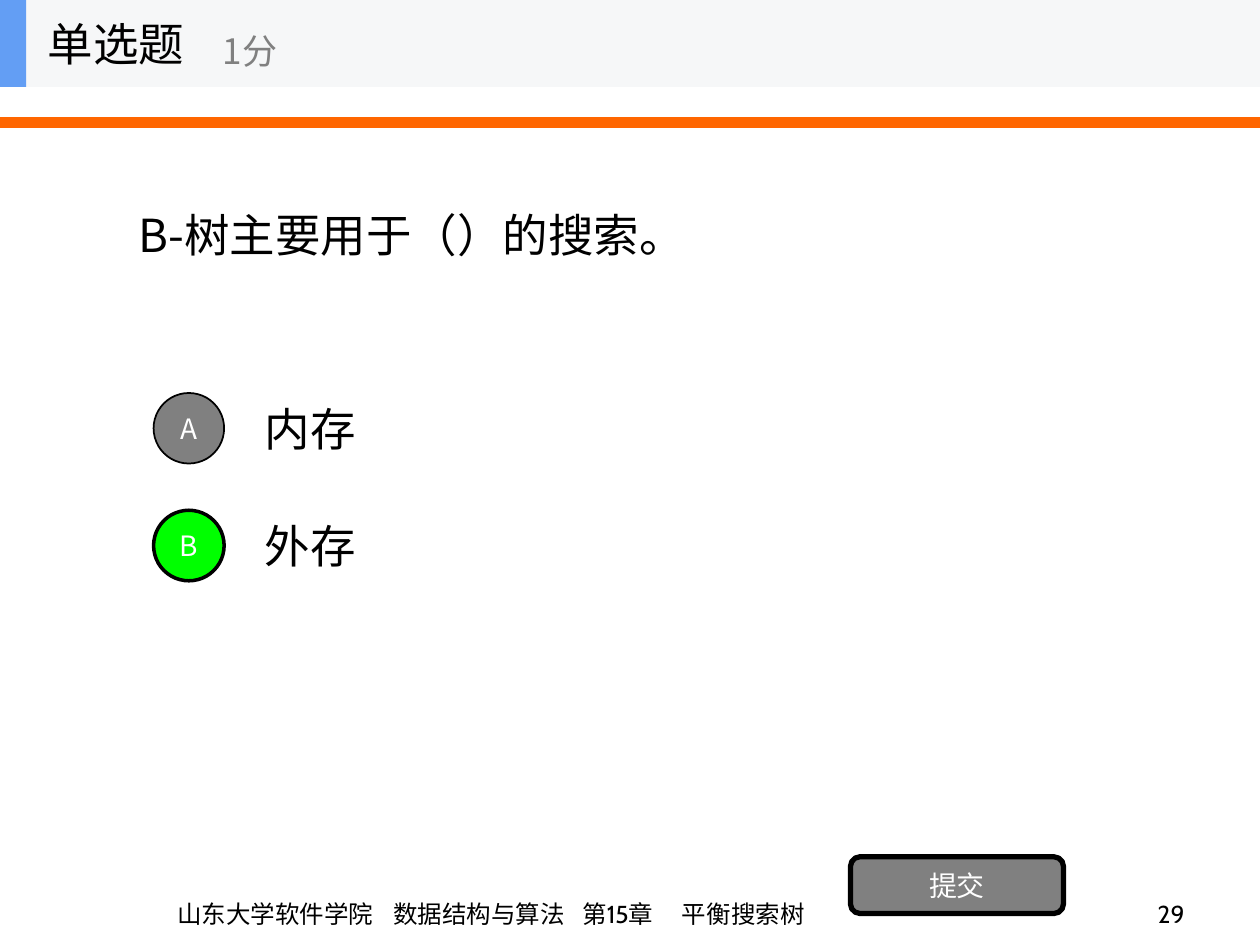
from lxml.etree import SubElement
from pptx import Presentation
from pptx.dml.color import RGBColor
from pptx.enum.shapes import MSO_CONNECTOR, MSO_SHAPE
from pptx.enum.text import MSO_ANCHOR, MSO_AUTO_SIZE, PP_ALIGN
from pptx.oxml.ns import qn
from pptx.util import Pt

SANS = "Noto Sans CJK SC"
FOOT = "Cabin"
BLACK = "000000"
GRAY = "808080"
WHITE = "FFFFFF"


def paint(color, hue):
    color.rgb = RGBColor.from_string(hue)


def put(item, box):
    item.left, item.top, item.width, item.height = map(Pt, box)


def add_run(para, text, size, hue, face):
    run = para.add_run()
    run.text = text
    run.font.size = Pt(size)
    run.font.name = face
    paint(run.font.color, hue)
    SubElement(run.font._element, qn("a:ea"), typeface=SANS)


def write(item, words, size, hue=BLACK, face=SANS,
          align=PP_ALIGN.LEFT, anchor=MSO_ANCHOR.MIDDLE, wrap=True):
    frame = item.text_frame
    frame.auto_size = MSO_AUTO_SIZE.NONE
    frame.word_wrap = wrap
    frame.vertical_anchor = anchor
    para = frame.paragraphs[0]
    para.alignment = align
    para.space_before = Pt(0)
    for word in words:
        add_run(para, word, size, hue, face)
    return para


def add_text(shapes, box, words, size, **style):
    item = shapes.add_textbox(*map(Pt, box))
    return item, write(item, words, size, **style)


def add_shape(shapes, kind, box, fill, line=0):
    item = shapes.add_shape(kind, *map(Pt, box))
    item.shadow.inherit = False
    item.fill.solid()
    paint(item.fill.fore_color, fill)
    if line:
        item.line.width = Pt(line)
        paint(item.line.color, BLACK)
    else:
        item.line.fill.background()
    return item


def add_button(shapes, kind, box, fill, line, label):
    item = add_shape(shapes, kind, box, fill, line)
    write(item, [label], 16, WHITE, align=PP_ALIGN.CENTER, wrap=False)
    return item


def add_rule(shapes, y, width, hue):
    rule = shapes.add_connector(MSO_CONNECTOR.STRAIGHT, 0, Pt(y), Pt(720), Pt(y))
    rule.line.width = Pt(width)
    paint(rule.line.color, hue)
    SubElement(rule._element.spPr, qn("a:effectLst"))


def add_header(shapes):
    group = shapes.add_group_shape().shapes
    for width, hue in ((720, "F6F7F8"), (15, "639EF4")):
        add_shape(group, MSO_SHAPE.RECTANGLE, (0, 0, width, 49.7), hue)
    add_text(group, (20.2, 0, 150, 49.7), ["单选题"], 26)
    add_text(group, (120.2, 8.6, 180, 40.3), ["1分"], 20, hue=GRAY)


def add_choice(shapes, holder, y, label, text, fill, line):
    put(holder, (144, y, 504, 50.4))
    para = write(holder, [text], 26)
    props = para._p.get_or_add_pPr()
    props.set("marL", "0")
    props.set("indent", "0")
    SubElement(props, qn("a:buNone"))
    box = (87.8, y + 5, 40.3, 40.3)
    add_button(shapes, MSO_SHAPE.OVAL, box, fill, line, label)


def add_footer(shapes):
    parts = ["山东大学软件学院", "\t数据结构与算法", "\t第15章", "\t平衡搜索树"]
    item, para = add_text(shapes, (36.7, 498.2, 493.2, 36), parts, 14,
                          face=FOOT, anchor=MSO_ANCHOR.BOTTOM)
    item.text_frame.margin_left = Pt(64.5)
    tabs = SubElement(para._p.get_or_add_pPr(), qn("a:tabLst"))
    for stop in (123.5, 231.5, 288.5):
        SubElement(tabs, qn("a:tab"), pos=str(Pt(stop)), algn="l")
    add_text(shapes, (534.2, 498.2, 149.8, 36), ["29"], 14, face=FOOT,
             align=PP_ALIGN.RIGHT, anchor=MSO_ANCHOR.BOTTOM)


def main():
    deck = Presentation()
    deck.slide_width, deck.slide_height = Pt(720), Pt(540)
    slide = deck.slides.add_slide(deck.slide_layouts[3])
    shapes = slide.shapes
    add_rule(shapes, 70, 6, "FF6600")
    add_footer(shapes)
    put(shapes.title, (72, 49.7, 576, 168.5))
    write(shapes.title, ["B-树主要用于（）的搜索。"], 26)
    rows = (("A", "内存", GRAY, 1), ("B", "外存", "00FF00", 2))
    for step, row in enumerate(rows):
        add_choice(shapes, slide.placeholders[step + 1], 219.6 + 67 * step, *row)
    add_button(shapes, MSO_SHAPE.ROUNDED_RECTANGLE,
               (486, 489.6, 121.7, 32.4), GRAY, 3, "提交")
    add_header(shapes)
    deck.save("out.pptx")


if __name__ == "__main__":
    main()
